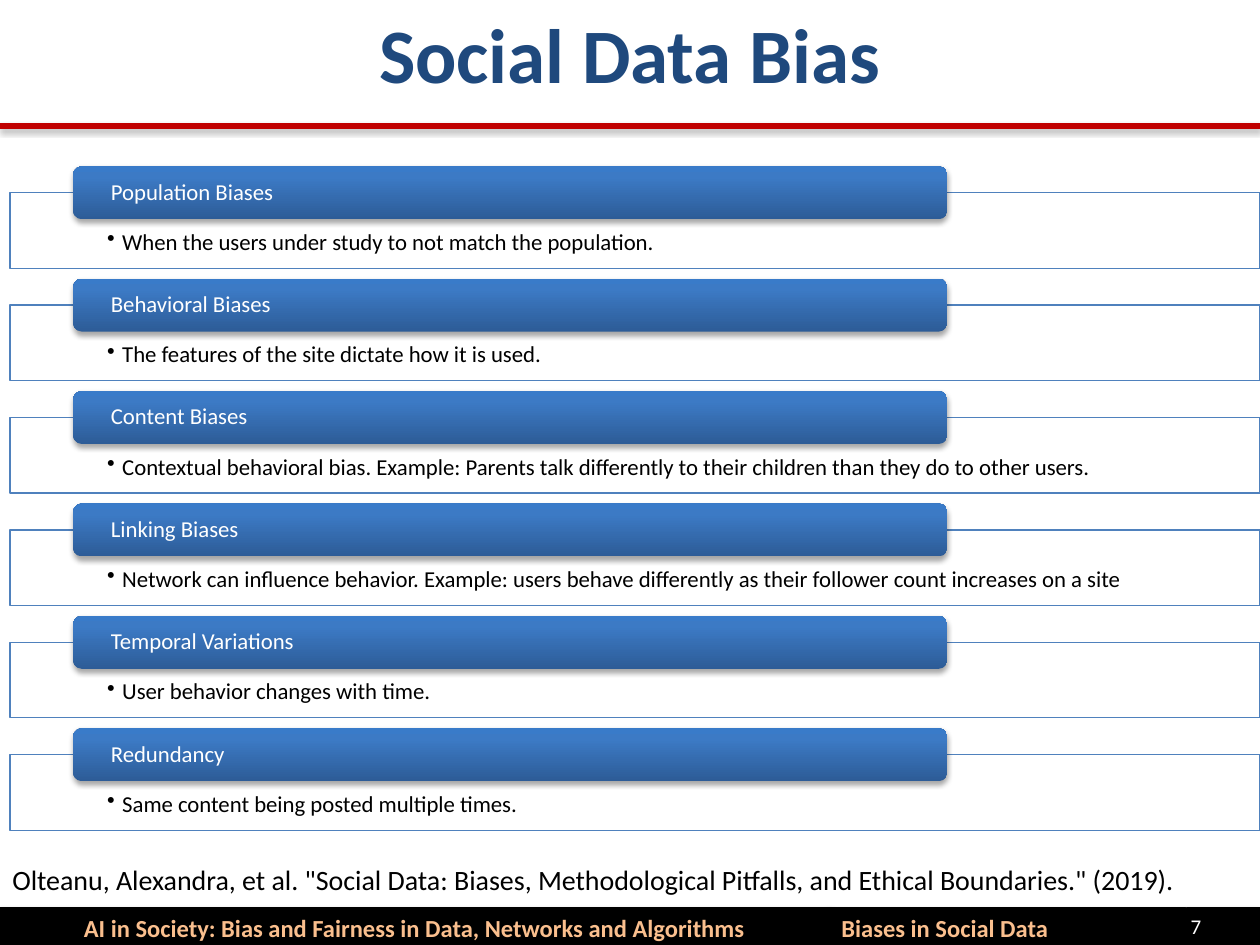
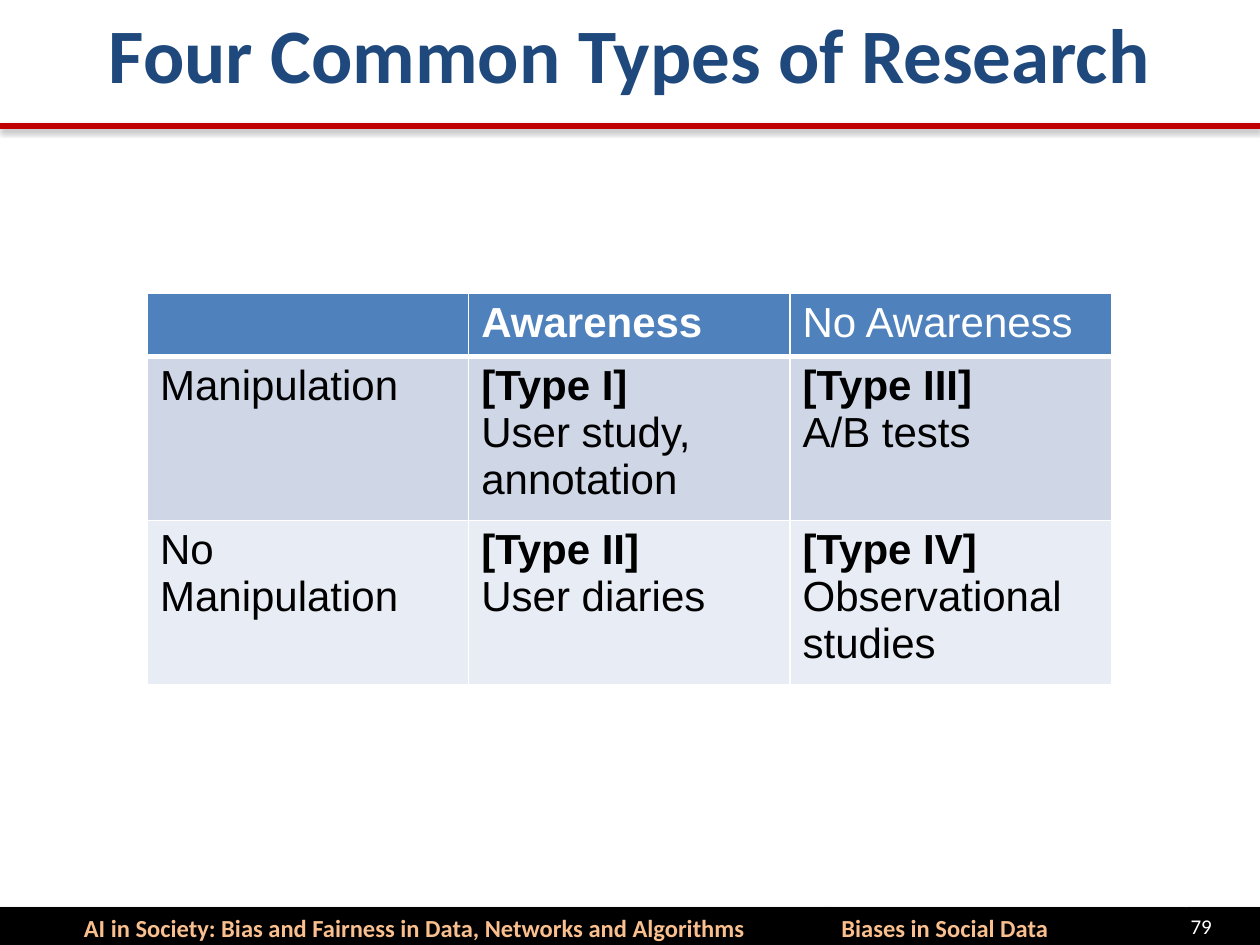
from lxml import etree
from pptx import Presentation
from pptx.dml.color import RGBColor
from pptx.enum.shapes import MSO_CONNECTOR, MSO_SHAPE
from pptx.enum.text import MSO_ANCHOR, PP_ALIGN
from pptx.oxml import parse_xml
from pptx.oxml.ns import nsdecls, qn
from pptx.util import Inches, Pt

RECTANGLE = MSO_SHAPE.RECTANGLE
ROUNDED = MSO_SHAPE.ROUNDED_RECTANGLE
STRAIGHT = MSO_CONNECTOR.STRAIGHT
TOP, MIDDLE = MSO_ANCHOR.TOP, MSO_ANCHOR.MIDDLE
LEFT, CENTER = PP_ALIGN.LEFT, PP_ALIGN.CENTER

BLACK = RGBColor(0x00, 0x00, 0x00)
WHITE = RGBColor(0xFF, 0xFF, 0xFF)
NAVY = RGBColor(0x1F, 0x49, 0x7D)
BLUE = RGBColor(0x4F, 0x81, 0xBD)
RED = RGBColor(0xC0, 0x00, 0x00)
PEACH = RGBColor(0xFA, 0xBF, 0x8E)
BAND_DARK = RGBColor(0xCF, 0xD7, 0xE7)
BAND_LIGHT = RGBColor(0xE8, 0xEC, 0xF4)
BAR_STOPS = [
    (0, RGBColor(0x2D, 0x5C, 0x97)),
    (80000, RGBColor(0x3C, 0x7A, 0xC5)),
    (100000, RGBColor(0x39, 0x7B, 0xC9)),
]


def write(paragraph, text, size, color, bold=False, font="Calibri"):
    run = paragraph.add_run()
    run.text = text
    run.font.name = font
    run.font.size = Pt(size)
    run.font.bold = bold
    run.font.color.rgb = color


def add_shadow(properties):
    properties.append(parse_xml(
        f'<a:effectLst {nsdecls("a")}>'
        '<a:outerShdw blurRad="40000" dist="23000" dir="5400000" rotWithShape="0">'
        '<a:srgbClr val="000000"><a:alpha val="35000"/></a:srgbClr>'
        '</a:outerShdw></a:effectLst>'))


deck = Presentation()
deck.slide_width = Inches(10)
deck.slide_height = Inches(7.5)
blank = deck.slide_layouts[6]

FOOTER_BANDS = [
    (9.42, 0.58, "", LEFT),
    (6.58, 2.83, "Biases in Social Data", LEFT),
    (0, 6.58, "AI in Society: Bias and Fairness in Data, Networks and Algorithms", CENTER),
]
slides = []
for heading, number in [("Social Data Bias", "7"), ("Four Common Types of Research", "79")]:
    slide = deck.slides.add_slide(blank)
    slides.append(slide)
    for left, width, label, alignment in FOOTER_BANDS:
        band = slide.shapes.add_shape(
            RECTANGLE, Inches(left), Inches(7.2), Inches(width), Inches(0.3))
        band.fill.solid()
        band.fill.fore_color.rgb = BLACK
        band.line.color.rgb = BLACK
        band.line.width = Pt(0.75)
        add_shadow(band._element.spPr)
        if label:
            band.text_frame.vertical_anchor = TOP
            band.text_frame.word_wrap = True
            band_line = band.text_frame.paragraphs[0]
            band_line.alignment = alignment
            write(band_line, label, 14, PEACH, True)

    page = slide.shapes.add_textbox(Inches(9.35), Inches(7.2), Inches(0.65), Inches(0.3))
    page.text_frame.word_wrap = True
    write(page.text_frame.paragraphs[0], number, 12, WHITE)

    rule = slide.shapes.add_connector(STRAIGHT, 0, Inches(1), Inches(10), Inches(1))
    rule.line.color.rgb = RED
    rule.line.width = Pt(3)
    add_shadow(rule._element.spPr)

    title = slide.shapes.add_textbox(0, 0, Inches(10), Inches(1.53))
    title.text_frame.word_wrap = True
    title.text_frame.paragraphs[0].alignment = CENTER
    write(title.text_frame.paragraphs[0], heading, 44, NAVY, True)

bias_slide, research_slide = slides

citation = bias_slide.shapes.add_textbox(0, Inches(6.8), Inches(10), Inches(0.37))
citation.text_frame.word_wrap = True
write(citation.text_frame.paragraphs[0],
      'Olteanu, Alexandra, et al. "Social Data: Biases, Methodological Pitfalls, '
      'and Ethical Boundaries." (2019).', 16, BLACK)

BIASES = [
    ("Population Biases", "When the users under study to not match the population."),
    ("Behavioral Biases", "The features of the site dictate how it is used."),
    ("Content Biases", "Contextual behavioral bias. Example: Parents talk differently "
                       "to their children than they do to other users."),
    ("Linking Biases", "Network can influence behavior. Example: users behave differently "
                       "as their follower count increases on a site"),
    ("Temporal Variations", "User behavior changes with time."),
    ("Redundancy", "Same content being posted multiple times."),
]
stops = "".join(f'<a:gs pos="{position}"><a:srgbClr val="{color}"/></a:gs>'
                for position, color in BAR_STOPS)
for index, (bias, explanation) in enumerate(BIASES):
    top = 1.53 + index * 0.892
    panel = bias_slide.shapes.add_shape(
        RECTANGLE, Inches(0.08), Inches(top), Inches(9.92), Inches(0.6))
    panel.shadow.inherit = False
    panel.fill.solid()
    panel.fill.fore_color.rgb = WHITE
    white = panel._element.spPr.find(".//" + qn("a:srgbClr"))
    etree.SubElement(white, qn("a:alpha")).set("val", "89000")
    panel.line.color.rgb = BLUE
    panel.line.width = Pt(0.75)
    panel_text = panel.text_frame
    panel_text.word_wrap = True
    panel_text.vertical_anchor = TOP
    panel_text.margin_left = panel_text.margin_right = Inches(0.77)
    panel_text.margin_top = Inches(0.3)
    panel_text.margin_bottom = Inches(0.1)
    detail = panel_text.paragraphs[0]
    detail.alignment = LEFT
    bullet = detail._p.get_or_add_pPr()
    bullet.set("marL", str(Inches(0.12)))
    bullet.set("indent", str(-Inches(0.12)))
    etree.SubElement(bullet, qn("a:buChar")).set("char", "•")
    detail.line_spacing = 0.9
    write(detail, explanation, 13, BLACK)

    bar = bias_slide.shapes.add_shape(
        ROUNDED, Inches(0.58), Inches(top - 0.21), Inches(6.94), Inches(0.42))
    bar.line.fill.background()
    bar._element.spPr.insert(2, parse_xml(
        f'<a:gradFill {nsdecls("a")} rotWithShape="1"><a:gsLst>{stops}</a:gsLst>'
        '<a:lin ang="16200000" scaled="0"/></a:gradFill>'))
    add_shadow(bar._element.spPr)
    bar_text = bar.text_frame
    bar_text.word_wrap = True
    bar_text.vertical_anchor = MIDDLE
    bar_text.margin_left = bar_text.margin_right = Inches(0.28)
    bar_text.margin_top = bar_text.margin_bottom = 0
    bar_text.paragraphs[0].alignment = LEFT
    bar_text.paragraphs[0].line_spacing = 0.9
    write(bar_text.paragraphs[0], bias, 13, WHITE)

RESEARCH_TYPES = [
    [[], [("Awareness", True)], [("No Awareness", False)]],
    [[("Manipulation", False)],
     [("[Type I]", True), ("User study, annotation", False)],
     [("[Type III]", True), ("A/B tests", False)]],
    [[("No Manipulation", False)],
     [("[Type II]", True), ("User diaries", False)],
     [("[Type IV]", True), ("Observational studies", False)]],
]
ROW_STYLES = [
    (0.46, BLUE, WHITE, 1, 3),
    (1.21, BAND_DARK, BLACK, 3, 1),
    (1.21, BAND_LIGHT, BLACK, 1, 1),
]
grid = research_slide.shapes.add_table(
    3, 3, Inches(1.17), Inches(2.33), Inches(7.65), Inches(2.88)).table
for column in grid.columns:
    column.width = Inches(2.55)
for row, contents, style in zip(grid.rows, RESEARCH_TYPES, ROW_STYLES):
    height, fill, ink, upper, lower = style
    row.height = Inches(height)
    for cell, lines in zip(row.cells, contents):
        borders = cell._tc.get_or_add_tcPr()
        for side, weight in [("L", 1), ("R", 1), ("T", upper), ("B", lower)]:
            borders.append(parse_xml(
                f'<a:ln{side} {nsdecls("a")} w="{Pt(weight)}"><a:solidFill>'
                f'<a:srgbClr val="{WHITE}"/></a:solidFill></a:ln{side}>'))
        cell.fill.solid()
        cell.fill.fore_color.rgb = fill
        for position, (text, bold) in enumerate(lines):
            frame = cell.text_frame
            paragraph = frame.add_paragraph() if position else frame.paragraphs[0]
            write(paragraph, text, 24, ink, bold, "Arial")

deck.save("out.pptx")
